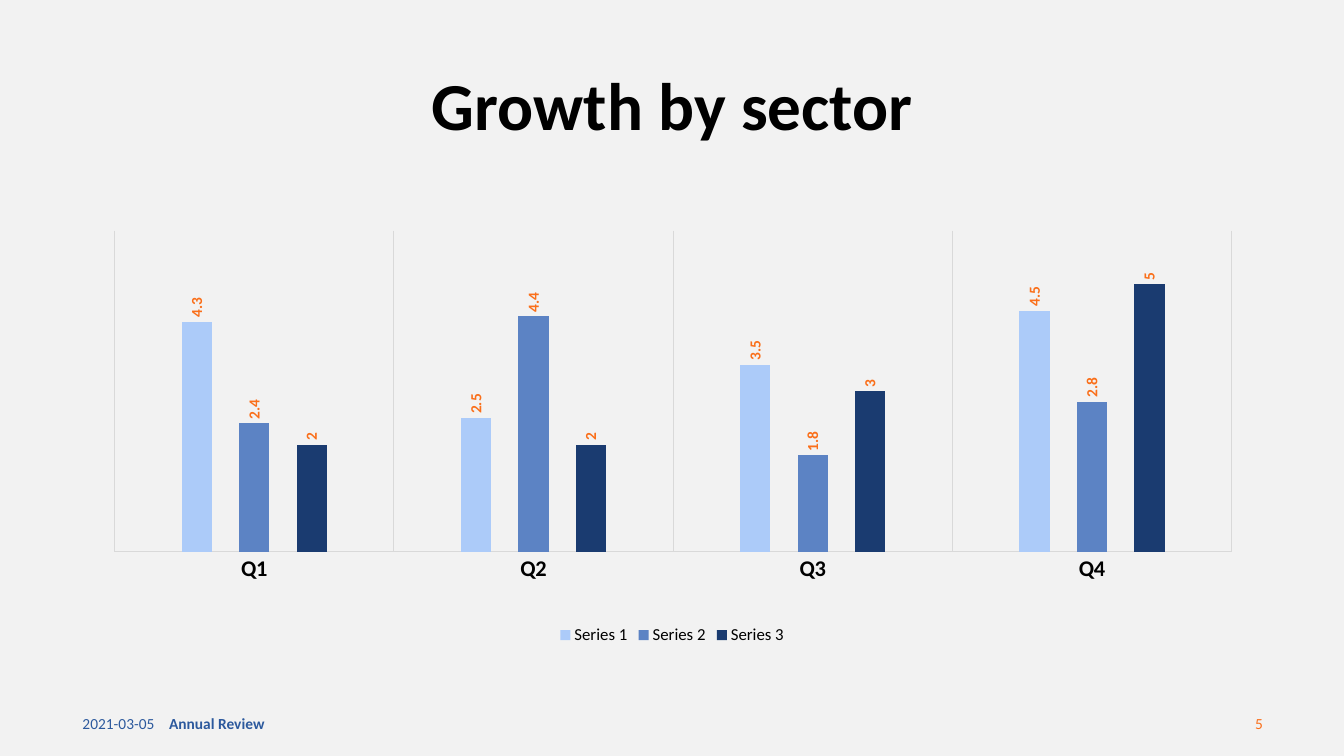
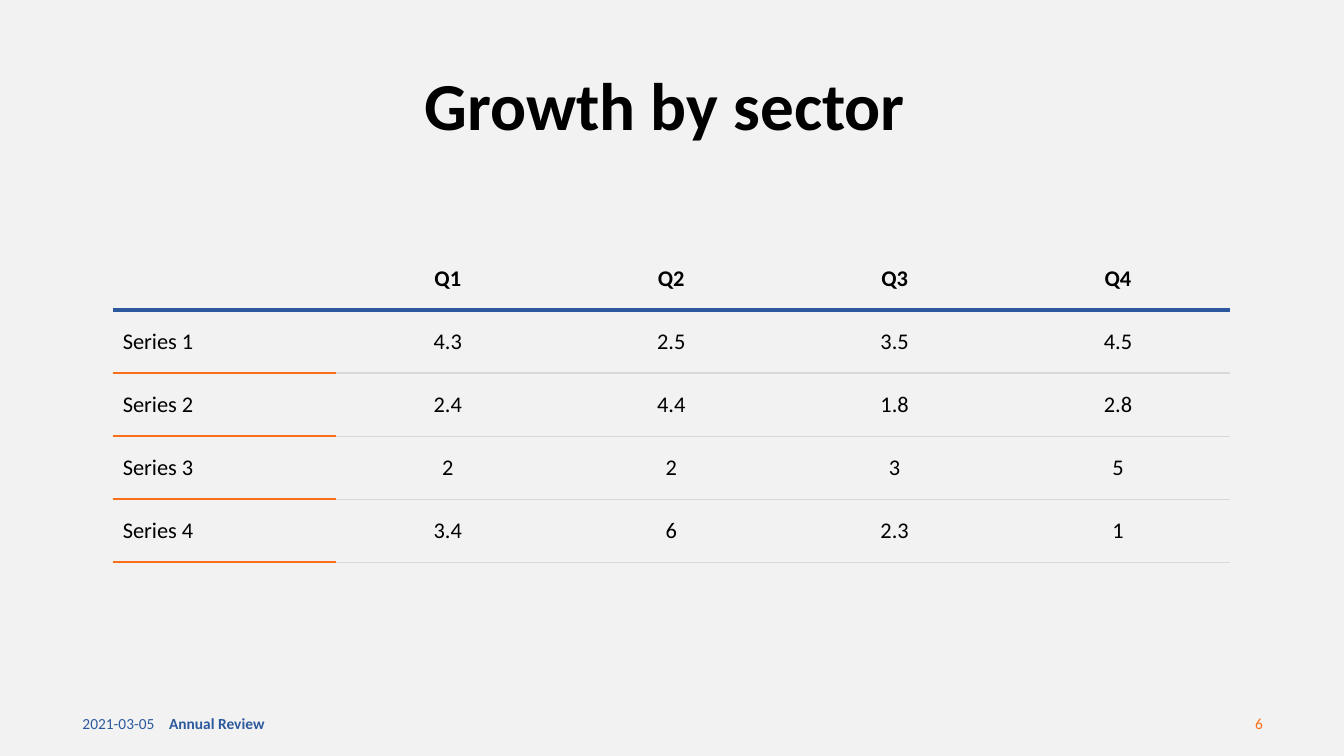
"""Build the two growth-by-sector slides: a column chart and a table."""
from lxml.etree import SubElement
from pptx import Presentation
from pptx.chart.data import CategoryChartData
from pptx.dml.color import RGBColor
from pptx.enum.chart import XL_CHART_TYPE as ChartType
from pptx.enum.chart import XL_LABEL_POSITION as LabelPosition
from pptx.enum.chart import XL_LEGEND_POSITION as LegendPosition
from pptx.enum.chart import XL_TICK_MARK as TickMark
from pptx.enum.text import MSO_ANCHOR as Anchor
from pptx.enum.text import PP_ALIGN as Align
from pptx.oxml import parse_xml
from pptx.oxml.ns import nsdecls, qn
from pptx.util import Cm, Pt

FONT = "Calibri"
PAPER = RGBColor(0xF2, 0xF2, 0xF2)
BLACK = RGBColor(0, 0, 0)
BLUE = RGBColor(0x2C, 0x59, 0x9D)
ORANGE = RGBColor(0xFA, 0x6F, 0x1A)
GREY = RGBColor(0xD9, 0xD9, 0xD9)
SERIES_COLOURS = (
    RGBColor(0xAC, 0xCB, 0xF9),
    RGBColor(0x5C, 0x83, 0xC4),
    RGBColor(0x1A, 0x3B, 0x70),
)

DATE = "2021-03-05"
REVIEW = "Annual Review"
CHART_TITLE = "Growth by sector"
TABLE_TITLE = "Growth by sector "
QUARTERS = ("Q1", "Q2", "Q3", "Q4")
GROWTH = {
    "Series 1": (4.3, 2.5, 3.5, 4.5),
    "Series 2": (2.4, 4.4, 1.8, 2.8),
    "Series 3": (2, 2, 3, 5),
    "Series 4": (3.4, 6, 2.3, 1),
}

FOOTER_TOP, FOOTER_HEIGHT = 17.73, 1.02
COLUMN_WIDTH, ROW_HEIGHT = 5.63, 1.59


def style_font(font, size, colour=BLACK, bold=False):
    font.name = FONT
    font.size = Pt(size)
    font.bold = bold
    font.color.rgb = colour


def add_text(slide, text, box, size, colour, bold=False, align=Align.LEFT, spacing=1.0):
    frame = slide.shapes.add_textbox(*map(Cm, box)).text_frame
    frame.word_wrap = True
    frame.vertical_anchor = Anchor.MIDDLE
    frame.text = text
    paragraph = frame.paragraphs[0]
    paragraph.alignment = align
    paragraph.line_spacing = spacing
    style_font(paragraph.runs[0].font, size, colour, bold)


def add_slide(deck, title, number):
    slide = deck.slides.add_slide(deck.slide_layouts[6])
    footer = (
        (DATE, 1.83, 7.62, BLUE, False, Align.LEFT),
        (REVIEW, 4.01, 11.43, BLUE, True, Align.LEFT),
        (str(number), 24.46, 7.62, ORANGE, False, Align.RIGHT),
    )
    for text, left, width, colour, bold, align in footer:
        box = (left, FOOTER_TOP, width, FOOTER_HEIGHT)
        add_text(slide, text, box, 11, colour, bold, align)
    add_text(slide, title, (2.34, 1.75, 29.21, 1.96), 48, BLACK, True, Align.CENTER, 0.9)
    return slide


def set_layout(parent, index, **settings):
    for old in parent.findall(qn("c:layout")):
        parent.remove(old)
    layout = parse_xml(f"<c:layout {nsdecls('c')}><c:manualLayout/></c:layout>")
    for tag, value in settings.items():
        SubElement(layout[0], qn(f"c:{tag}")).set("val", str(value))
    parent.insert(index, layout)


def style_hairline(line):
    line.color.rgb = GREY
    line.width = Pt(0.75)


def add_growth_chart(slide):
    growth = CategoryChartData()
    growth.categories = QUARTERS
    for name in list(GROWTH)[:len(SERIES_COLOURS)]:
        growth.add_series(name, GROWTH[name])
    box = map(Cm, (2.18, 5.44, 29.51, 11.35))
    chart = slide.shapes.add_chart(ChartType.COLUMN_CLUSTERED, *box, growth).chart
    chart.has_title = False
    style_font(chart.font, 10)

    columns = chart.plots[0]
    columns.gap_width = 444
    columns.overlap = -90
    columns.vary_by_categories = False
    for series, colour in zip(columns.series, SERIES_COLOURS):
        series.format.fill.solid()
        series.format.fill.fore_color.rgb = colour
        labels = series.data_labels
        labels.show_value = True
        labels.position = LabelPosition.OUTSIDE_END
        style_font(labels.font, 11, ORANGE, True)
        rotation = labels._element.find(f".//{qn('a:bodyPr')}")
        rotation.set("rot", "-5400000")
        rotation.set("vert", "horz")

    quarters = chart.category_axis
    quarters.major_tick_mark = quarters.minor_tick_mark = TickMark.NONE
    quarters.has_major_gridlines = True
    style_hairline(quarters.format.line)
    style_hairline(quarters.major_gridlines.format.line)
    style_font(quarters.tick_labels.font, 16, BLACK, True)
    values = chart.value_axis
    values.minimum_scale, values.maximum_scale = 0, 6
    values.has_major_gridlines = False
    values.visible = False

    chart.has_legend = True
    legend = chart.legend
    legend.position = LegendPosition.BOTTOM
    legend.include_in_layout = False
    style_font(legend.font, 12)
    set_layout(legend._element, 1, xMode="edge", yMode="edge", x=0.4, y=0.9)
    plot_area = chart._chartSpace.find(f".//{qn('c:plotArea')}")
    set_layout(plot_area, 0, layoutTarget="inner", xMode="edge", yMode="edge",
               x=0.024, y=0.033, w=0.954, h=0.713)


def set_borders(cell, top, bottom):
    sides = (("lnL", None), ("lnR", None), ("lnT", top), ("lnB", bottom))
    for index, (tag, rule) in enumerate(sides):
        if rule:
            colour, points = rule
            width = f'w="{Pt(points)}"'
            paint = f'<a:solidFill><a:srgbClr val="{colour}"/></a:solidFill>'
        else:
            width, paint = 'w="0"', "<a:noFill/>"
        border = parse_xml(f"<a:{tag} {nsdecls('a')} {width}>{paint}</a:{tag}>")
        cell._tc.get_or_add_tcPr().insert(index, border)


def rule_below(row, column):
    if row == 0:
        return BLUE, 3
    if row > len(GROWTH) or row < 0:
        return None
    return (ORANGE, 1.5) if column == 0 else (GREY, 1)


def add_growth_table(slide):
    header = ("", *QUARTERS)
    rows = [header, *((name, *values) for name, values in GROWTH.items()), ("",) * len(header)]
    size = (COLUMN_WIDTH * len(header), ROW_HEIGHT * len(rows))
    box = map(Cm, (2.84, 6.22, *size))
    table = slide.shapes.add_table(len(rows), len(header), *box).table
    table.first_row = table.horz_banding = False
    for r, row in enumerate(rows):
        for c, value in enumerate(row):
            cell = table.cell(r, c)
            cell.fill.background()
            cell.vertical_anchor = Anchor.MIDDLE
            cell.text = str(value)
            paragraph = cell.text_frame.paragraphs[0]
            paragraph.alignment = Align.CENTER if c else Align.LEFT
            style_font(paragraph.font, 16, BLACK, r == 0)
            for run in paragraph.runs:
                style_font(run.font, 16, BLACK, r == 0)
            set_borders(cell, rule_below(r - 1, c), rule_below(r, c))


def main():
    deck = Presentation()
    deck.slide_width, deck.slide_height = Cm(33.87), Cm(19.05)
    paper = deck.slide_master.background.fill
    paper.solid()
    paper.fore_color.rgb = PAPER
    add_growth_chart(add_slide(deck, CHART_TITLE, 5))
    add_growth_table(add_slide(deck, TABLE_TITLE, 6))
    deck.save("out.pptx")


if __name__ == "__main__":
    main()
